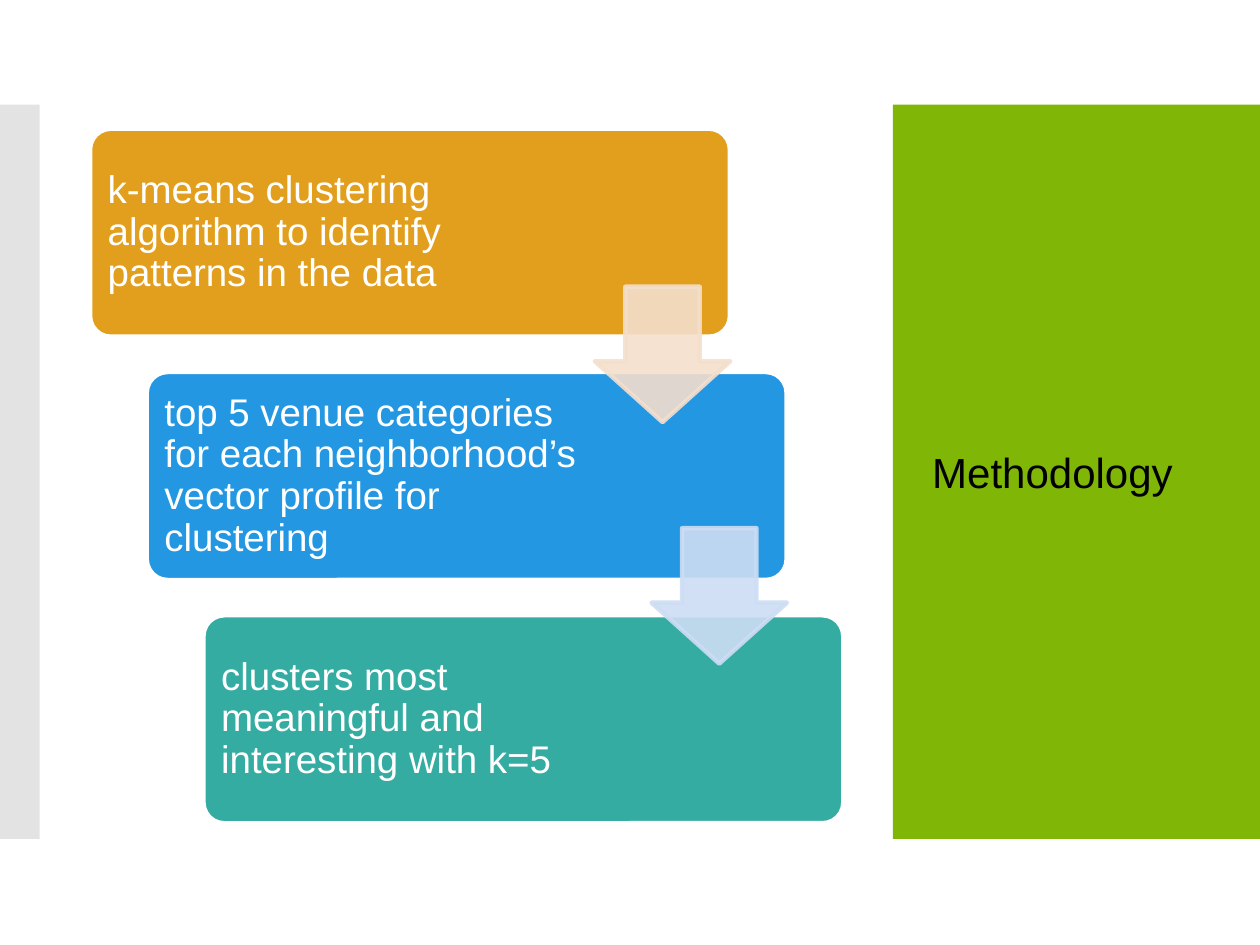
from lxml.etree import SubElement
from pptx import Presentation
from pptx.dml.color import RGBColor
from pptx.enum.shapes import MSO_SHAPE
from pptx.enum.text import MSO_ANCHOR
from pptx.oxml.ns import qn
from pptx.util import Pt

WHITE = RGBColor(0xFF, 0xFF, 0xFF)
BLACK = RGBColor(0x00, 0x00, 0x00)
GREEN = RGBColor(0x80, 0xB6, 0x06)
GRAY = RGBColor(0xC8, 0xC8, 0xC8)
ORANGE = RGBColor(0xE2, 0x9F, 0x1D)
BLUE = RGBColor(0x23, 0x97, 0xE2)
TEAL = RGBColor(0x35, 0xAC, 0xA2)
PEACH = RGBColor(0xF4, 0xDF, 0xCD)
PALE_BLUE = RGBColor(0xCD, 0xDD, 0xF4)

presentation = Presentation()
presentation.slide_width, presentation.slide_height = Pt(720), Pt(540)
slide = presentation.slides.add_slide(presentation.slide_layouts[6])


def add_shape(kind, left, top, width, height, fill, line=None, opacity=100, adjustments=()):
    shape = slide.shapes.add_shape(kind, Pt(left), Pt(top), Pt(width), Pt(height))
    shape.shadow.inherit = False
    for index, value in enumerate(adjustments):
        shape.adjustments[index] = value
    shape.fill.solid()
    shape.fill.fore_color.rgb = fill
    if line is None:
        shape.line.fill.background()
    else:
        shape.line.color.rgb = line
        shape.line.width = Pt(2.5)
    if opacity < 100:
        for color in shape._element.spPr.iter(qn("a:srgbClr")):
            SubElement(color, qn("a:alpha"), val=str(opacity * 1000))


def add_text(text, left, top, width, height, size, color, inset, line_spacing=1.0):
    box = slide.shapes.add_textbox(Pt(left), Pt(top), Pt(width), Pt(height))
    frame = box.text_frame
    frame.word_wrap = True
    frame.vertical_anchor = MSO_ANCHOR.MIDDLE
    frame.margin_left = frame.margin_right = Pt(inset)
    frame.margin_top = frame.margin_bottom = Pt(inset)
    paragraph = frame.paragraphs[0]
    paragraph.line_spacing = line_spacing
    run = paragraph.add_run()
    run.text = text
    run.font.name = "Arial"
    run.font.size = Pt(size)
    run.font.color.rgb = color


# Title panel and left edge band
add_shape(MSO_SHAPE.RECTANGLE, 510.3, 59.8, 209.7, 419.6, GREEN)
add_text("Methodology", 525.6, 88.5, 174.2, 362.2, size=24, color=BLACK, inset=7.2)
add_shape(MSO_SHAPE.RECTANGLE, 0, 59.8, 22.7, 419.6, GRAY, opacity=50)

# Staircase of step cards
STEP_X, STEP_Y = 32.4, 139
steps = [
    ("k-means clustering algorithm to identify patterns in the data", ORANGE, 237.6),
    ("top 5 venue categories for each neighborhood’s vector profile for clustering", BLUE, 249),
    ("clusters most meaningful and interesting with k=5", TEAL, 249),
]
for index, (text, color, text_width) in enumerate(steps):
    left, top = 51.5 + index * STEP_X, 73.6 + index * STEP_Y
    add_shape(MSO_SHAPE.ROUNDED_RECTANGLE, left, top, 365.6, 118.8, color,
              line=WHITE, adjustments=[0.1])
    add_text(text, left + 3.5, top + 3.5, text_width, 112, size=22, color=WHITE,
             inset=6.6, line_spacing=0.9)

# Arrows between the cards
for index, color in enumerate([PEACH, PALE_BLUE]):
    add_shape(MSO_SHAPE.DOWN_ARROW, 339.9 + index * STEP_X, 163.8 + index * 138, 77.4, 77.4,
              color, line=color, opacity=90, adjustments=[0.55, 0.45])

presentation.save("out.pptx")
